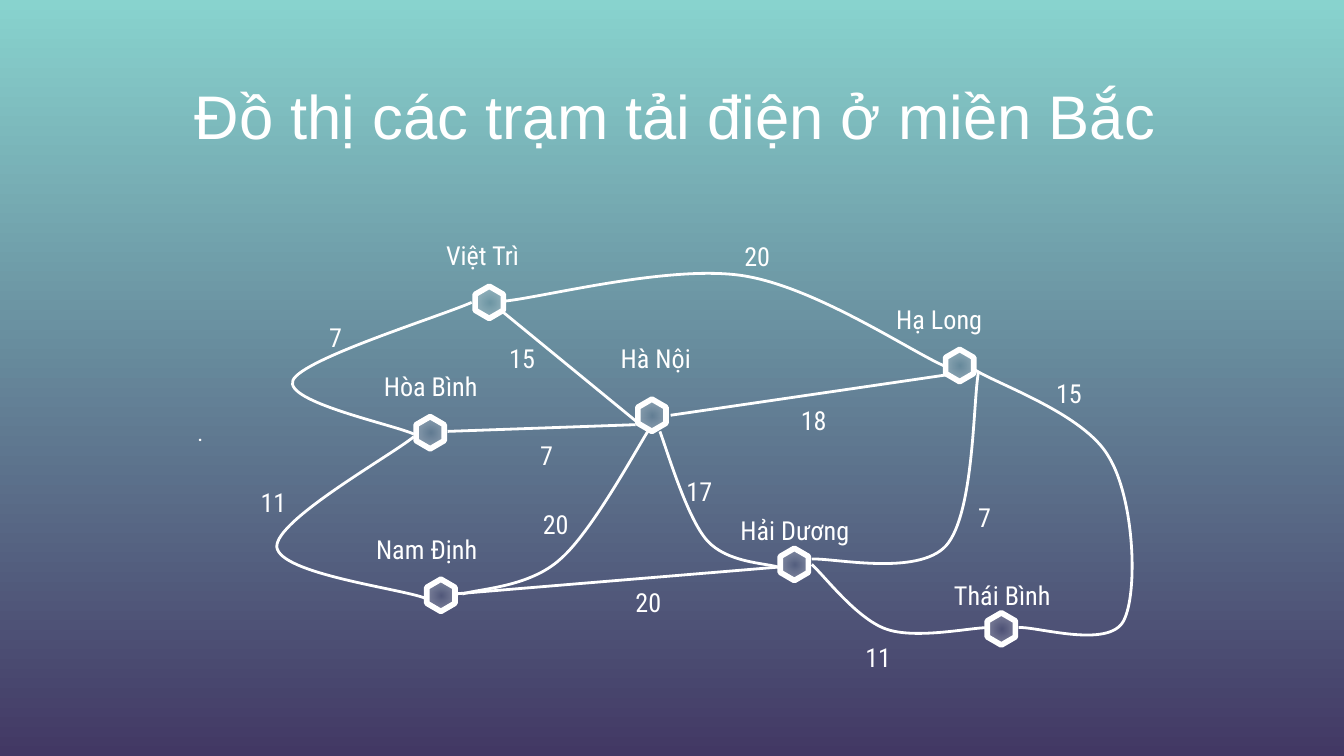
from lxml import etree
from pptx import Presentation, util as u
from pptx.dml.color import RGBColor
from pptx.enum import shapes, text
from pptx.oxml.ns import qn

WHITE = "FFFFFF"
LABEL_FONT = "Roboto Condensed"
LEFT, CENTER = text.PP_ALIGN.LEFT, text.PP_ALIGN.CENTER
TOP, MIDDLE = text.MSO_ANCHOR.TOP, text.MSO_ANCHOR.MIDDLE

# All places below are in inches.
SLIDE_SIZE = (10, 10 * 9 / 16)
BACKGROUND = ("88D3CE", "423864")
TITLE = ("Đồ thị các trạm tải điện ở miền Bắc", (0.55, 0.49, 8.95, 0.73))
SUBTITLE = (".", (1.37, 1.3, 7.25, 3.84))
LABEL_HEIGHT = 0.44
HEXAGON = (0.24, 0.21)

# name, hexagon centre, label (left, top, width), label alignment
STATIONS = [
    ("Hà Nội", (4.85, 3.09), (4.52, 2.45, 0.78), LEFT),
    ("Nam Định", (3.28, 4.43), (2.7, 3.87, 1), LEFT),
    ("Hòa Bình", (3.2, 3.22), (2.41, 2.66, 1.59), CENTER),
    ("Việt Trì", (3.64, 2.25), (3.22, 1.68, 0.95), LEFT),
    ("Hải Dương", (5.91, 4.2), (5.41, 3.73, 1.12), LEFT),
    ("Thái Bình", (7.45, 4.68), (7, 4.21, 1), LEFT),
    ("Hạ Long", (7.14, 2.72), (6.57, 2.16, 1.14), LEFT),
]

# weight, label (left, top, width), points:
# two points make a straight route, more make a chain of cubic curves
ROUTES = [
    ("20", (4.63, 4.26, 0.4), [(3.38, 4.42), (5.79, 4.22)]),
    ("11", (6.34, 4.67, 0.46), [(6.04, 4.2), (6.13, 4.28), (6.37, 4.6), (6.59, 4.68),
                                (6.81, 4.76), (7.22, 4.67), (7.35, 4.67)]),
    ("7", (3.92, 3.17, 0.21), [(3.33, 3.21), (4.73, 3.16)]),
    ("20", (5.44, 1.69, 0.47), [(3.76, 2.24), (4.05, 2.21), (4.98, 1.97), (5.52, 2.05),
                                (6.06, 2.13), (6.77, 2.61), (7.02, 2.72)]),
    ("15", (7.76, 2.71, 0.44), [(7.58, 4.67), (7.71, 4.66), (8.25, 4.83), (8.36, 4.62),
                                (8.47, 4.41), (8.44, 3.71), (8.25, 3.4),
                                (8.07, 3.08), (7.42, 2.86), (7.25, 2.75)]),
    ("7", (2.35, 2.29, 0.21), [(3.51, 2.25), (3.29, 2.35), (2.25, 2.67), (2.18, 2.83),
                               (2.11, 2.99), (2.93, 3.16), (3.08, 3.23)]),
    ("11", (1.84, 3.52, 0.45), [(3.08, 3.25), (2.91, 3.39), (2.05, 3.87), (2.06, 4.07),
                                (2.08, 4.27), (2.98, 4.38), (3.16, 4.45)]),
    ("18", (5.86, 2.91, 0.48), [(4.99, 3.09), (7.04, 2.79)]),
    ("15", (3.69, 2.45, 0.39), [(3.74, 2.32), (4.74, 3.14)]),
    ("17", (5.01, 3.44, 0.43), [(4.91, 3.21), (4.96, 3.34), (5.11, 3.85), (5.26, 4.02),
                                (5.41, 4.19), (5.7, 4.19), (5.79, 4.22)]),
    ("20", (3.94, 3.68, 0.41), [(4.82, 3.21), (4.72, 3.37), (4.4, 3.96), (4.17, 4.16),
                                (3.94, 4.37), (3.57, 4.38), (3.44, 4.42)]),
    ("7", (7.18, 3.63, 0.21), [(6.04, 4.16), (6.2, 4.15), (6.83, 4.29), (7.04, 4.06),
                               (7.25, 3.82), (7.24, 2.99), (7.28, 2.77)]),
]


def color(value):
    return RGBColor.from_string(value)


def lengths(values):
    """Turn inches into Cm lengths."""
    return [u.Cm(value * 2.54) for value in values]


def set_line(shape, width):
    shape.line.color.rgb = color(WHITE)
    shape.line.width = u.Pt(width)


def add_text(slide, content, box, size=14, font=LABEL_FONT, align=LEFT, anchor=TOP):
    frame = slide.shapes.add_textbox(*lengths(box)).text_frame
    frame.word_wrap = True
    frame.vertical_anchor = anchor
    frame.margin_left, frame.margin_top, frame.margin_right, frame.margin_bottom = lengths([0.1] * 4)
    if anchor == TOP:
        frame.auto_size = text.MSO_AUTO_SIZE.SHAPE_TO_FIT_TEXT
    paragraph = frame.paragraphs[0]
    paragraph.alignment = align
    run = paragraph.add_run()
    run.text = content
    run.font.size = u.Pt(size)
    run.font.name = font
    run.font.color.rgb = color(WHITE)


def add_label(slide, content, place, align=LEFT):
    add_text(slide, content, (*place, LABEL_HEIGHT), align=align)


def add_station(slide, center):
    """Draw an upright hexagon whose white fill fades from rim to middle."""
    corner = [middle - side / 2 for middle, side in zip(center, HEXAGON)]
    shape = slide.shapes.add_shape(shapes.MSO_SHAPE.HEXAGON, *lengths([*corner, *HEXAGON]))
    shape.rotation = 90
    shape.adjustments[0] = 0.29
    shape.shadow.inherit = False
    set_line(shape, 3)
    shape.fill.gradient()
    for stop in shape.fill.gradient_stops:
        stop.color.rgb = color(WHITE)
    gradient = shape._element.spPr.find(qn("a:gradFill"))
    for rgb, opacity in zip(gradient.iter(qn("a:srgbClr")), (0, 39)):
        etree.SubElement(rgb, qn("a:alpha"), val=str(opacity * 1000))
    radial = etree.Element(qn("a:path"), path="circle")
    etree.SubElement(radial, qn("a:fillToRect"), l="50000", t="50000", r="50000", b="50000")
    gradient.replace(gradient.find(qn("a:lin")), radial)


def curve_point(controls, t):
    weights = ((1 - t) ** 3, 3 * t * (1 - t) ** 2, 3 * t ** 2 * (1 - t), t ** 3)
    return [sum(w * point[axis] for w, point in zip(weights, controls)) for axis in (0, 1)]


def add_curve(slide, points):
    """Size a freeform by points on the curves, then give it true cubic segments."""
    points = [lengths(point) for point in points]
    segments = [points[i:i + 4] for i in range(0, len(points) - 1, 3)]
    samples = [curve_point(segment, step / 20) for segment in segments for step in range(1, 21)]
    builder = slide.shapes.build_freeform(*points[0])
    builder.add_line_segments(samples, close=False)
    shape = builder.convert_to_shape()
    outline = next(shape._element.iter(qn("a:path")))
    for straight in outline.findall(qn("a:lnTo")):
        outline.remove(straight)
    for segment in segments:
        cubic = etree.SubElement(outline, qn("a:cubicBezTo"))
        for x, y in segment[1:]:
            etree.SubElement(cubic, qn("a:pt"), x=str(x - shape.left), y=str(y - shape.top))
    shape.fill.background()
    shape.shadow.inherit = False
    set_line(shape, 1.5)


def add_straight(slide, start, end):
    connector = slide.shapes.add_connector(
        shapes.MSO_CONNECTOR.STRAIGHT, *lengths([*start, *end]))
    set_line(connector, 1.5)
    etree.SubElement(connector._element.spPr, qn("a:effectLst"))


def main():
    presentation = Presentation()
    presentation.slide_width, presentation.slide_height = lengths(SLIDE_SIZE)
    slide = presentation.slides.add_slide(presentation.slide_layouts[6])
    fill = slide.background.fill
    fill.gradient()
    fill.gradient_angle = 270
    for stop, value in zip(fill.gradient_stops, BACKGROUND):
        stop.color.rgb = color(value)

    add_text(slide, *TITLE, size=33, font="Arial", align=CENTER, anchor=MIDDLE)
    add_text(slide, *SUBTITLE, size=12, anchor=MIDDLE)
    for name, center, place, align in STATIONS:
        add_station(slide, center)
        add_label(slide, name, place, align)
    for weight, place, points in ROUTES:
        if len(points) == 2:
            add_straight(slide, *points)
        else:
            add_curve(slide, points)
        add_label(slide, weight, place)
    presentation.save("out.pptx")


if __name__ == "__main__":
    main()
